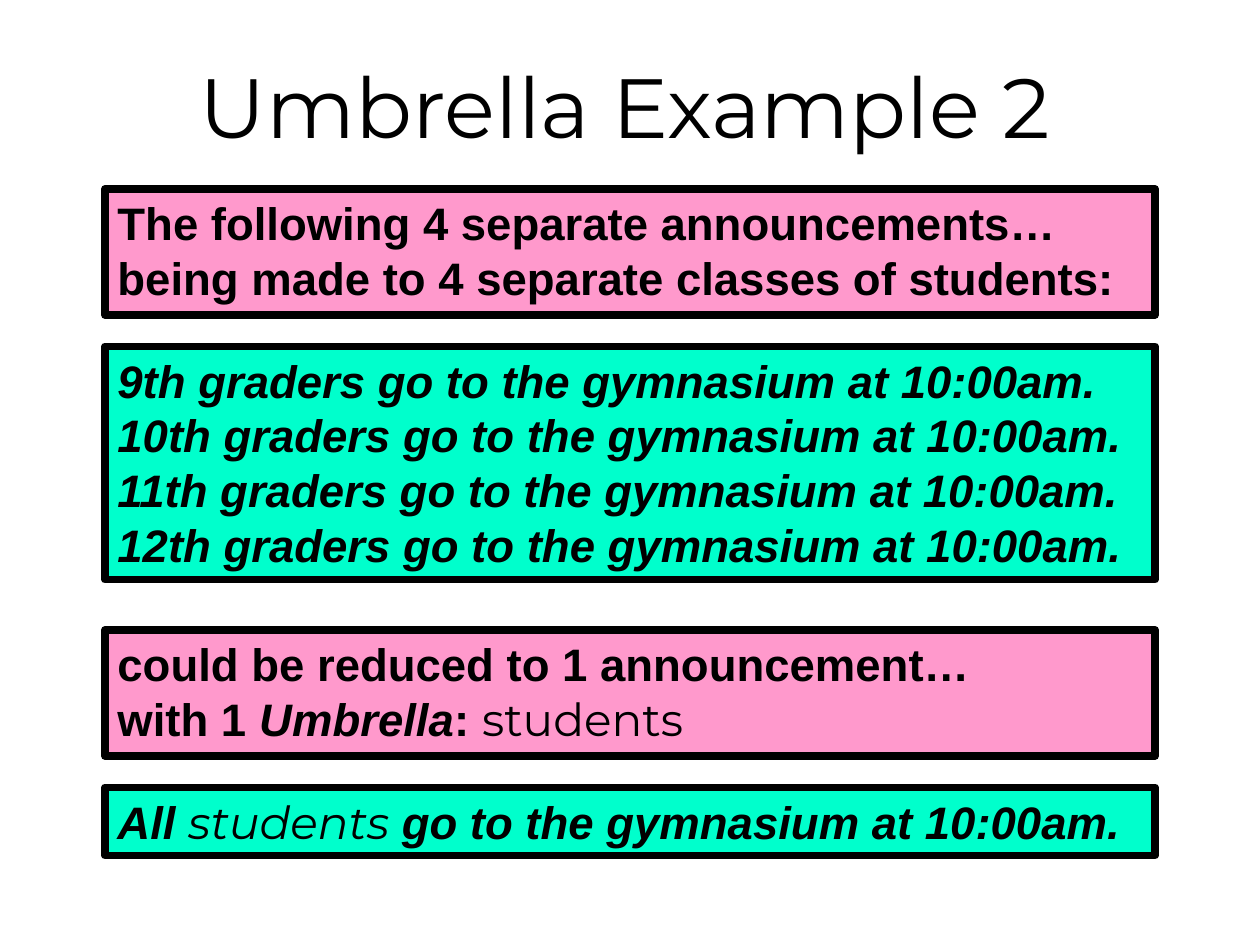
import dataclasses

import pptx
import pptx.dml.color
import pptx.enum.shapes
import pptx.enum.text
import pptx.util


@dataclasses.dataclass(frozen=True)
class Theme:
    """Colours, fonts and type sizes of the slide."""
    ink: str = "000000"
    pink: str = "FF99CC"
    green: str = "00FFCC"
    body_font: str = "Arial"
    accent_font: str = "Montserrat"
    title_size: float = 48
    body_size: float = 26
    line_pitch: float = 31.2
    border: float = 4.5


class AnnouncementSlide:
    """One slide on a grid of 12 columns and 30 rows."""

    def __init__(self, presentation, theme):
        """Add a title-only slide and work out the grid."""
        self.theme = theme
        self.slide = presentation.slides.add_slide(presentation.slide_layouts[5])
        self.column = presentation.slide_width / 12
        self.row = presentation.slide_height / 30

    def place(self, shape, left, top, width, height):
        """Position a shape in grid columns and rows."""
        shape.left, shape.width = int(left * self.column), int(width * self.column)
        shape.top, shape.height = int(top * self.row), int(height * self.row)

    def format_run(self, run, font, size, bold=False, italic=False):
        """Apply the type style to a run."""
        run.font.name = font
        run.font.size = pptx.util.Pt(size)
        run.font.bold, run.font.italic = bold, italic
        run.font.color.rgb = pptx.dml.color.RGBColor.from_string(self.theme.ink)

    def title(self, text):
        """Fill and format the title placeholder."""
        shape = self.slide.shapes.title
        self.place(shape, 0, 0, 11.9, 6.67)
        frame = shape.text_frame
        frame.text = text
        frame.vertical_anchor = pptx.enum.text.MSO_ANCHOR.MIDDLE
        paragraph = frame.paragraphs[0]
        paragraph.alignment = pptx.enum.text.PP_ALIGN.CENTER
        self.format_run(paragraph.runs[0], self.theme.accent_font, self.theme.title_size)

    def panel(self, top, height, fill, lines, italic=False):
        """Draw a bordered box whose lines are lists of (text, style) pieces."""
        shape = self.slide.shapes.add_shape(
            pptx.enum.shapes.MSO_SHAPE.RECTANGLE, 0, 0, 0, 0)
        self.place(shape, 1, top, 10, height)
        shape.shadow.inherit = False
        shape.fill.solid()
        shape.fill.fore_color.rgb = pptx.dml.color.RGBColor.from_string(fill)
        shape.line.color.rgb = pptx.dml.color.RGBColor.from_string(self.theme.ink)
        shape.line.width = pptx.util.Pt(self.theme.border)
        frame = shape.text_frame
        frame.word_wrap = True
        frame.vertical_anchor = pptx.enum.text.MSO_ANCHOR.TOP
        for index, pieces in enumerate(lines):
            paragraph = frame.add_paragraph() if index else frame.paragraphs[0]
            paragraph.alignment = pptx.enum.text.PP_ALIGN.LEFT
            paragraph.line_spacing = pptx.util.Pt(self.theme.line_pitch)
            for text, style in pieces:
                run = paragraph.add_run()
                run.text = text
                accent = style == "accent"
                font = self.theme.accent_font if accent else self.theme.body_font
                self.format_run(run, font, self.theme.body_size, bold=not accent,
                                italic=italic or style == "italic")


def main():
    """Build and save the presentation."""
    presentation = pptx.Presentation()
    presentation.slide_width = pptx.util.Inches(10)
    presentation.slide_height = pptx.util.Inches(7.5)
    theme = Theme()
    slide = AnnouncementSlide(presentation, theme)
    slide.title("Umbrella Example 2")
    slide.panel(11, 7.4, theme.green, [
        [(f"{grade}th graders go to the gymnasium at 10:00am.", "plain")]
        for grade in range(9, 13)], italic=True)
    slide.panel(6, 4, theme.pink, [
        [("The following 4 separate announcements…", "plain")],
        [("being made to 4 separate classes of students:", "plain")]])
    slide.panel(20, 4, theme.pink, [
        [("could be reduced to 1 announcement…", "plain")],
        [("with 1 ", "plain"), ("Umbrella", "italic"), (": ", "plain"),
         ("students", "accent")]])
    slide.panel(25, 2.16, theme.green, [
        [("All ", "plain"), ("students ", "accent"),
         ("go to the gymnasium at 10:00am.", "plain")]], italic=True)
    presentation.save("out.pptx")


if __name__ == "__main__":
    main()
